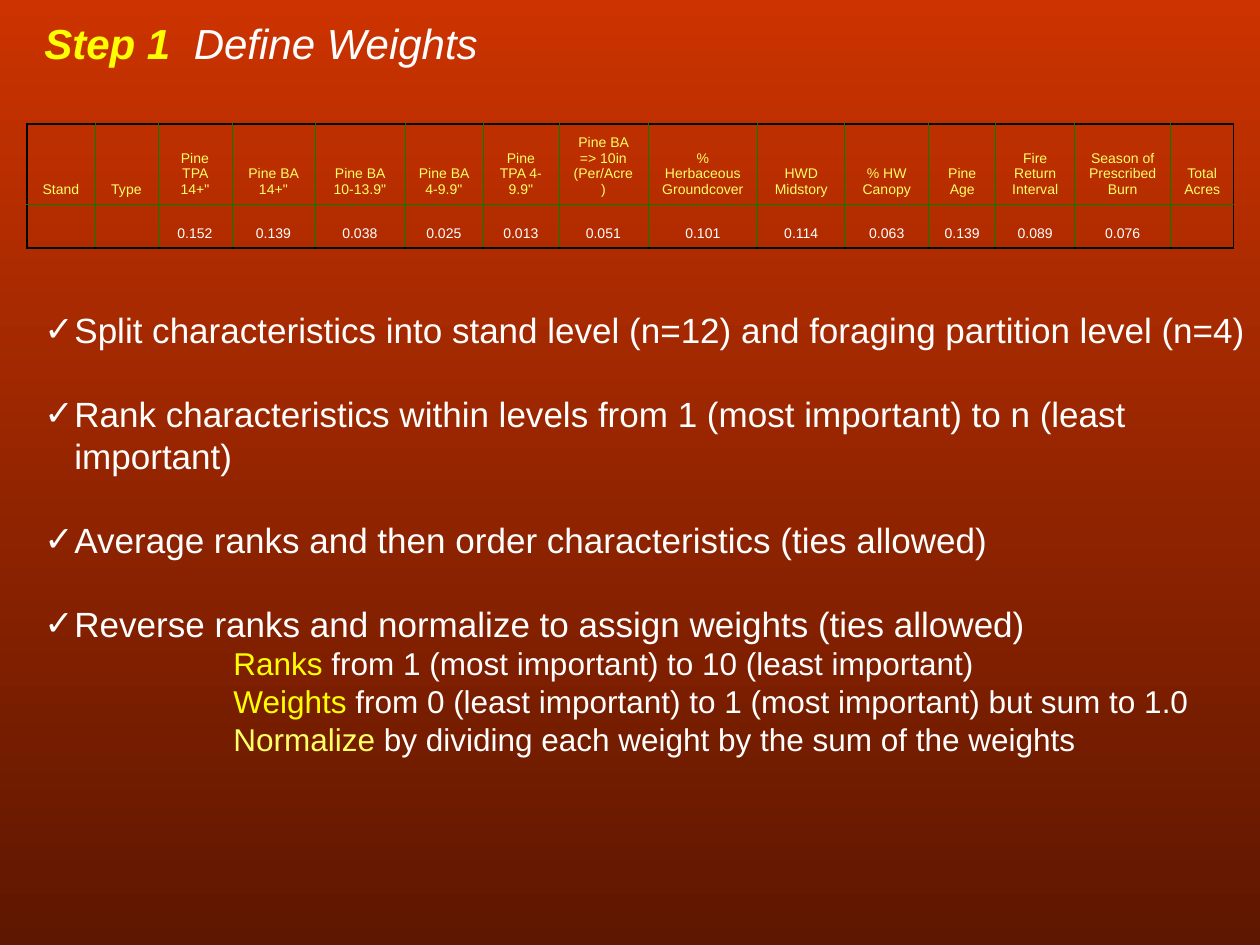
from dataclasses import dataclass

from lxml.etree import SubElement
from pptx import Presentation
from pptx.dml.color import RGBColor as RGB
from pptx.enum.text import MSO_ANCHOR as Anchor, PP_ALIGN as Align
from pptx.oxml import parse_xml
from pptx.oxml.ns import nsdecls, qn
from pptx.util import Emu, Pt

PX_PER_INCH = 126
SCALE = 914400 / PX_PER_INCH


@dataclass(frozen=True)
class Theme:
    font: str = "Arial"
    top: str = "CC3300"
    bottom: str = "5E1700"
    white: str = "FFFFFF"
    yellow: str = "FFFF00"
    pale: str = "FFFF66"
    grid: str = "008000"
    frame: str = "000000"
    title: int = 24
    body: int = 20
    detail: int = 18
    cell: int = 8
    leading: float = 1.2
    grid_width: float = 0.45
    frame_width: float = 0.96


T = Theme()

COLUMNS = [
    ("Stand", "", 68), ("Type", "", 63),
    ('Pine TPA 14+"', "0.152", 74), ('Pine BA 14+"', "0.139", 83),
    ('Pine BA 10-13.9"', "0.038", 90), ('Pine BA 4-9.9"', "0.025", 78),
    ('Pine TPA 4-9.9"', "0.013", 76),
    ("Pine BA => 10in (Per/Acre)", "0.051", 89),
    ("% Herbaceous Groundcover", "0.101", 110),
    ("HWD Midstory", "0.114", 87), ("% HW Canopy", "0.063", 84),
    ("Pine Age", "0.139", 67), ("Fire Return Interval", "0.089", 79),
    ("Season of Prescribed Burn", "0.076", 96), ("Total Acres", "", 63),
]
ROW_HEIGHTS = [80, 44]

POINTS = [
    "Split characteristics into stand level (n=12) and foraging partition level (n=4)",
    "Rank characteristics within levels from 1 (most important) to n (least important)",
    "Average ranks and then order characteristics (ties allowed)",
    "Reverse ranks and normalize to assign weights (ties allowed)",
]
DETAILS = [
    ("Ranks", " from 1 (most important) to 10 (least important)", T.yellow),
    ("Weights", " from 0 (least important) to 1 (most important) but sum to 1.0", T.yellow),
    ("Normalize", " by dividing each weight by the sum of the weights", T.pale),
]


def px(n):
    return Emu(round(n * SCALE))


def add_text(p, text, *, size, color=T.white, bold=False, italic=False):
    r = p.add_run()
    r.text = text
    f = r.font
    f.name, f.size, f.bold, f.italic = T.font, Pt(size), bold, italic
    f.color.rgb = RGB.from_string(color)


def add_box(slide, box, wrap=True):
    tf = slide.shapes.add_textbox(*map(px, box)).text_frame
    tf.word_wrap = wrap
    return tf


def set_indent(p, left, hang=0, bullet=None):
    pPr = p._p.get_or_add_pPr()
    pPr.set("marL", str(px(left)))
    pPr.set("indent", str(-px(hang)))
    if bullet:
        color = SubElement(pPr, qn("a:buClr"))
        SubElement(color, qn("a:srgbClr"), val=T.white)
        SubElement(pPr, qn("a:buFont"), typeface=T.font)
        SubElement(pPr, qn("a:buChar"), char=bullet)


def set_borders(cell, outer):
    """Draw the frame on the sides named in outer and the grid on the rest."""
    tcPr = cell._tc.get_or_add_tcPr()
    for i, side in enumerate("LRTB"):
        color, width = ((T.frame, T.frame_width) if side in outer
                        else (T.grid, T.grid_width))
        tcPr.insert(i, parse_xml(
            f'<a:ln{side} {nsdecls("a")} w="{Pt(width)}"><a:solidFill>'
            f'<a:srgbClr val="{color}"/></a:solidFill></a:ln{side}>'))


def paint_background(slide):
    fill = slide.background.fill
    fill.gradient()
    fill.gradient_angle = 270
    for stop, color, pos in zip(fill.gradient_stops, (T.top, T.bottom), (0, 1)):
        stop.color.rgb = RGB.from_string(color)
        stop.position = pos


def add_title(slide, box):
    p = add_box(slide, box, wrap=False).paragraphs[0]
    p.line_spacing = Pt(T.title * T.leading)
    add_text(p, "Step 1  ", size=T.title, color=T.yellow, bold=True, italic=True)
    add_text(p, "Define Weights", size=T.title, italic=True)


def add_weights_table(slide, left, top):
    widths = [width for *_, width in COLUMNS]
    box = (left, top, sum(widths), sum(ROW_HEIGHTS))
    table = slide.shapes.add_table(2, len(COLUMNS), *map(px, box)).table
    table.first_row = table.horz_banding = False
    for row, height in zip(table.rows, ROW_HEIGHTS):
        row.height = px(height)
    last = len(COLUMNS) - 1
    for c, (heading, weight, width) in enumerate(COLUMNS):
        table.columns[c].width = px(width)
        for r, (text, color) in enumerate([(heading, T.pale), (weight, T.white)]):
            cell = table.cell(r, c)
            cell.fill.background()
            cell.vertical_anchor = Anchor.BOTTOM
            sides = "TB"[r] + ("L" if c == 0 else "R" if c == last else "")
            set_borders(cell, sides)
            p = cell.text_frame.paragraphs[0]
            p.alignment = Align.CENTER
            if text:
                add_text(p, text, size=T.cell, color=color)
            else:
                SubElement(p._p, qn("a:endParaRPr"), sz=str(T.cell * 100))


def add_method(slide, box):
    tf = add_box(slide, box)
    for i, text in enumerate(POINTS):
        p = tf.add_paragraph() if i else tf.paragraphs[0]
        set_indent(p, 30, hang=30, bullet="✓")
        p.line_spacing = Pt(T.body * T.leading)
        if i:
            p.space_before = Pt(T.body * T.leading)
        add_text(p, text, size=T.body)
    for term, text, color in DETAILS:
        p = tf.add_paragraph()
        set_indent(p, 189)
        p.line_spacing = Pt(T.detail * T.leading)
        add_text(p, term, size=T.detail, color=color)
        add_text(p, text, size=T.detail)


def main():
    prs = Presentation()
    prs.slide_width, prs.slide_height = px(1260), px(945)
    slide = prs.slides.add_slide(prs.slide_layouts[6])
    paint_background(slide)
    add_method(slide, (32, 302, 1228, 462))
    add_title(slide, (32, 11, 459, 113))
    add_weights_table(slide, 27, 124)
    prs.save("out.pptx")


if __name__ == "__main__":
    main()
